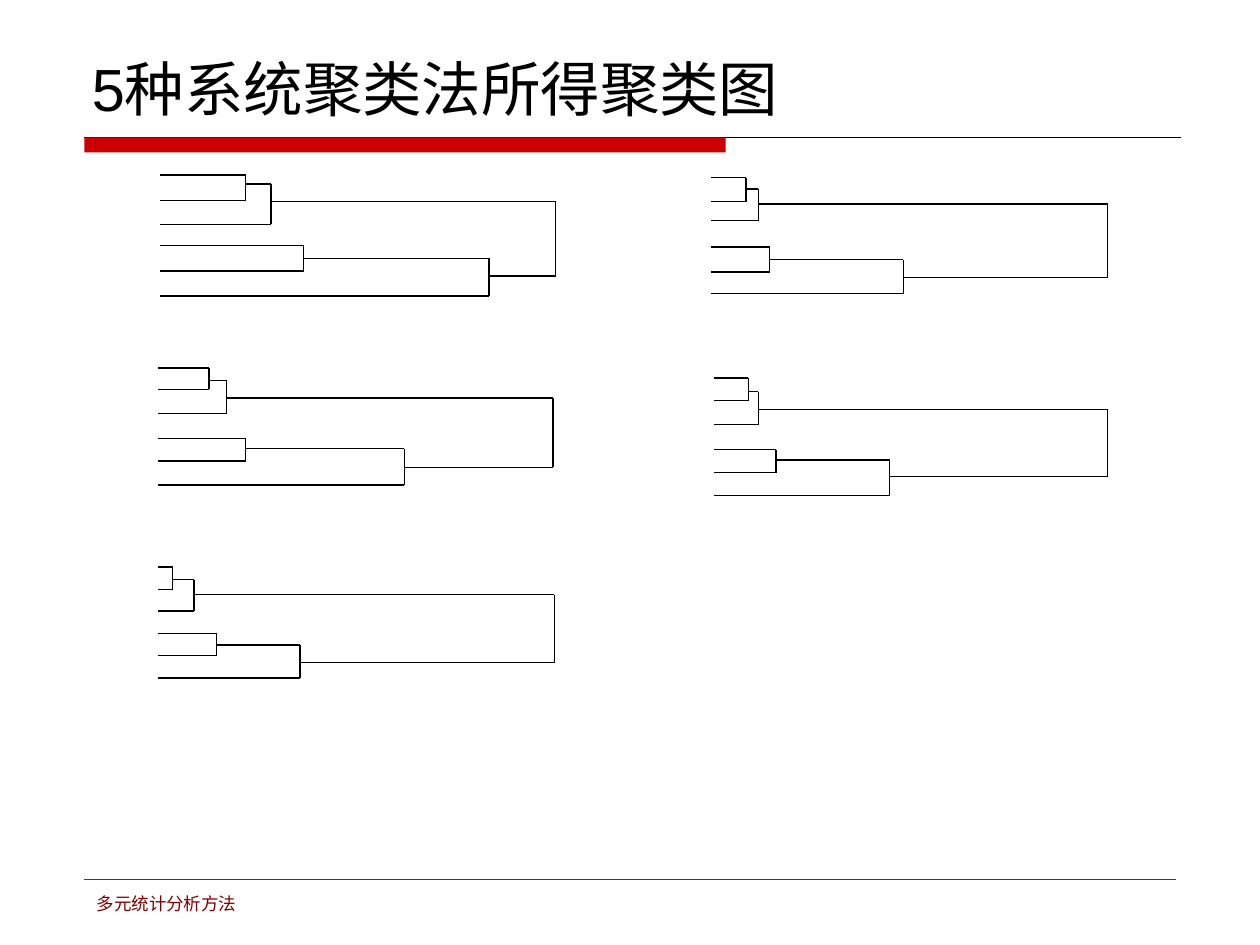
import pptx
import pptx.util
import pptx.dml.color
import pptx.enum.shapes
import pptx.enum.text
from lxml import etree

Inches, Pt = pptx.util.Inches, pptx.util.Pt
RGBColor = pptx.dml.color.RGBColor
ANCHOR = pptx.enum.text.MSO_ANCHOR

BLACK = RGBColor(0, 0, 0)
RED = RGBColor(0xCC, 0, 0)
DARK_RED = RGBColor(0x7C, 0, 0)

TITLE = "5种系统聚类法所得聚类图"
FOOTER = "多元统计分析方法"

# leaves: y of the six leaf branches, starting at x = left
# merge_x: x of the merges 1+2, (1+2)+3, 4+5, (4+5)+6 and of the root
# merge_y: y of the branch leaving each of the first four merges
TREES = [
    dict(left=1.27, leaves=(1.39, 1.59, 1.78, 1.95, 2.15, 2.35),
         merge_x=(1.95, 2.15, 2.41, 3.88, 4.41), merge_y=(1.46, 1.6, 2.05, 2.19)),
    dict(left=5.64, leaves=(1.41, 1.6, 1.75, 1.96, 2.16, 2.33),
         merge_x=(5.92, 6.02, 6.11, 7.17, 8.79), merge_y=(1.5, 1.62, 2.06, 2.2)),
    dict(left=1.25, leaves=(4.5, 4.68, 4.85, 5.03, 5.2, 5.38),
         merge_x=(1.37, 1.54, 1.72, 2.38, 4.4), merge_y=(4.6, 4.72, 5.12, 5.26)),
    dict(left=1.25, leaves=(2.92, 3.09, 3.28, 3.48, 3.66, 3.85),
         merge_x=(1.66, 1.8, 1.95, 3.21, 4.39), merge_y=(3.02, 3.16, 3.56, 3.71)),
    dict(left=5.67, leaves=(3.0, 3.18, 3.37, 3.57, 3.75, 3.93),
         merge_x=(5.94, 6.02, 6.16, 7.06, 8.79), merge_y=(3.11, 3.25, 3.65, 3.78)),
]


def add_line(shapes, x1, y1, x2, y2, color=BLACK, width=0.75):
    line = shapes.add_connector(pptx.enum.shapes.MSO_CONNECTOR.STRAIGHT,
                                Inches(x1), Inches(y1), Inches(x2), Inches(y2))
    line.line.color.rgb = color
    line.line.width = Pt(width)
    etree.SubElement(line._element.spPr, pptx.oxml.ns.qn("a:effectLst"))


def add_text(shapes, text, left, top, width, height, size, font, color, anchor=ANCHOR.TOP):
    tf = shapes.add_textbox(Inches(left), Inches(top), Inches(width), Inches(height)).text_frame
    tf.word_wrap = True
    tf.vertical_anchor = anchor
    r = tf.paragraphs[0].add_run()
    r.text = text
    r.font.size = Pt(size)
    r.font.name = font
    r.font.color.rgb = color


def add_tree(shapes, left, leaves, merge_x, merge_y):
    """Draw a dendrogram, each merge being two branches and the bar joining them."""
    a, b, c, d, e, f = leaves
    x_ab, x_abc, x_de, x_def, x_root = merge_x
    y_ab, y_abc, y_de, y_def = merge_y
    merges = [
        ((left, a), (left, b), x_ab),
        ((x_ab, y_ab), (left, c), x_abc),
        ((left, d), (left, e), x_de),
        ((x_de, y_de), (left, f), x_def),
        ((x_abc, y_abc), (x_def, y_def), x_root),
    ]
    for upper, lower, x in merges:
        for start, y in (upper, lower):
            add_line(shapes, start, y, x, y)
        add_line(shapes, x, upper[1], x, lower[1])


prs = pptx.Presentation()
prs.slide_width, prs.slide_height = Inches(10), Inches(7.5)
s = prs.slides.add_slide(prs.slide_layouts[6])

add_line(s.shapes, 0.67, 1.09, 9.37, 1.09, BLACK, 0.5)
bar = s.shapes.add_shape(pptx.enum.shapes.MSO_SHAPE.RECTANGLE,
                         Inches(0.67), Inches(1.09), Inches(5.09), Inches(0.12))
bar.shadow.inherit = False
bar.fill.solid()
bar.fill.fore_color.rgb = RED
bar.line.fill.background()

add_line(s.shapes, 0.67, 6.98, 9.33, 6.98, RED, 0.25)
add_text(s.shapes, FOOTER, 0.67, 7.04, 3.15, 0.31, 10, "DejaVu Sans", DARK_RED)
add_text(s.shapes, TITLE, 0.63, 0.33, 8.75, 0.7, 34, "Arial", BLACK, ANCHOR.BOTTOM)

for tree in TREES:
    add_tree(s.shapes.add_group_shape().shapes, **tree)

prs.save("out.pptx")
